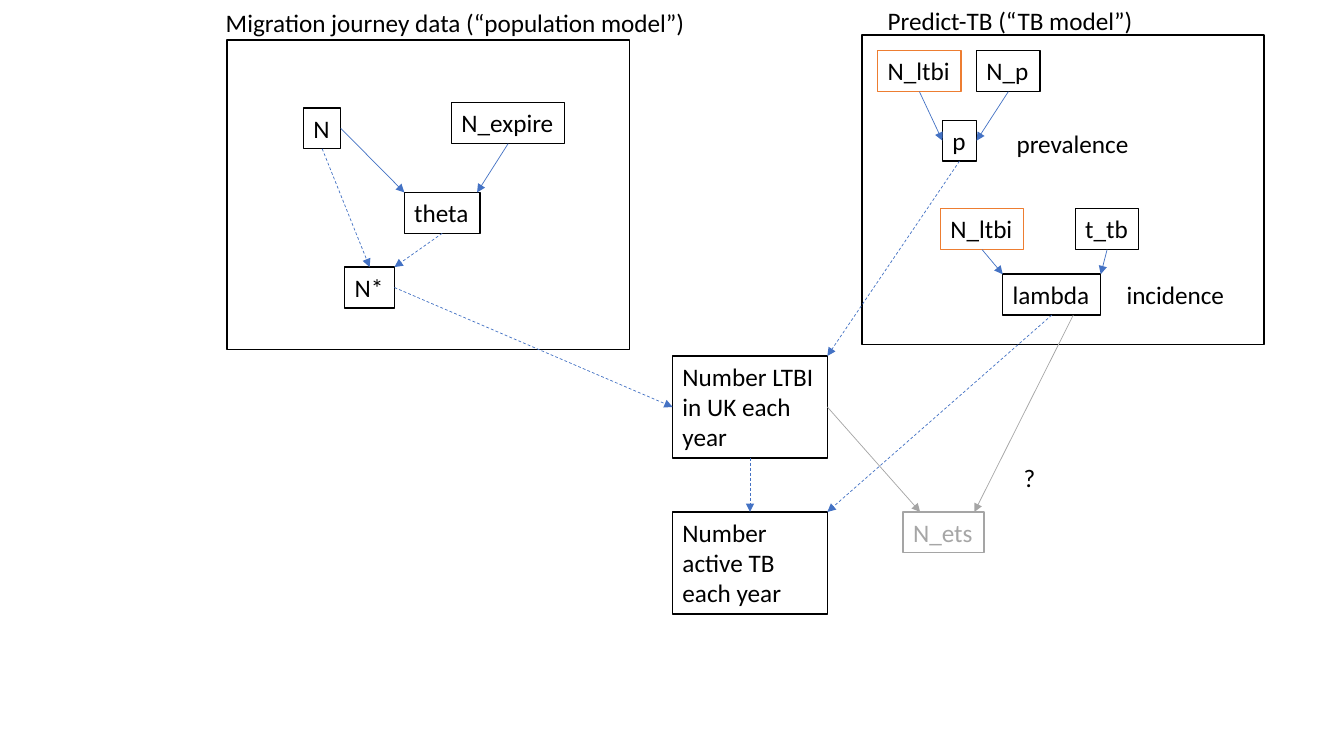
import pptx
import pptx.util
import pptx.dml.color
import pptx.enum.dml
import pptx.enum.shapes
import pptx.enum.text
import lxml.etree
from dataclasses import dataclass

Cm = pptx.util.Cm
Pt = pptx.util.Pt
Color = pptx.dml.color.RGBColor.from_string


@dataclass(frozen=True)
class Theme:
    """Colours, font and sizes of the diagram."""
    font: str = "Calibri"
    text_size: int = 18
    box_line: float = 1
    arrow_line: float = 0.5
    black: str = "000000"
    white: str = "FFFFFF"
    blue: str = "4472C4"
    orange: str = "ED7D31"
    grey: str = "A5A5A5"
    grey_text: str = "A6A6A6"


theme = Theme()
LINE_HEIGHT = 1.03
RESULT_WIDTH, RESULT_HEIGHT = 3.9, 2.57
PANEL_WIDTH, PANEL_HEIGHT = 10.14, 7.8

presentation = pptx.Presentation()
presentation.slide_width = Cm(33.87)
presentation.slide_height = Cm(19.05)
slide = presentation.slides.add_slide(presentation.slide_layouts[6])


def add_box(left, top, width, height, line_color):
    """Add a white rectangle with a coloured outline."""
    shape = slide.shapes.add_shape(
        pptx.enum.shapes.MSO_SHAPE.RECTANGLE, Cm(left), Cm(top), Cm(width), Cm(height))
    shape.shadow.inherit = False
    shape.fill.solid()
    shape.fill.fore_color.rgb = Color(theme.white)
    shape.line.color.rgb = Color(line_color)
    shape.line.width = Pt(theme.box_line)
    return shape


def write_text(shape, text, color, wrap=False):
    """Put left-aligned text in a shape that fits its text."""
    frame = shape.text_frame
    frame.text = text
    frame.word_wrap = wrap
    frame.auto_size = pptx.enum.text.MSO_AUTO_SIZE.SHAPE_TO_FIT_TEXT
    frame.vertical_anchor = pptx.enum.text.MSO_ANCHOR.TOP
    paragraph = frame.paragraphs[0]
    paragraph.alignment = pptx.enum.text.PP_ALIGN.LEFT
    font = paragraph.runs[0].font
    font.name = theme.font
    font.size = Pt(theme.text_size)
    font.color.rgb = Color(color)


# Panels of the two models
for left, top in [(21.72, 0.88), (5.72, 1.01)]:
    add_box(left, top, PANEL_WIDTH, PANEL_HEIGHT, theme.black)

# Variables: key, text, left, top, width, outline, text colour
variables = [
    ("N", "N", 7.65, 2.72, 0.94, theme.black, theme.black),
    ("N*", "N*", 8.69, 6.73, 1.25, theme.black, theme.black),
    ("theta", "theta", 10.19, 4.85, 1.91, theme.black, theme.black),
    ("N_expire", "N_expire", 11.38, 2.59, 2.85, theme.black, theme.black),
    ("p", "p", 23.75, 3.03, 0.86, theme.black, theme.black),
    ("prevalence ltbi", "N_ltbi", 22.12, 1.28, 2.1, theme.orange, theme.black),
    ("N_p", "N_p", 24.61, 1.28, 1.6, theme.black, theme.black),
    ("lambda", "lambda", 25.27, 6.91, 2.47, theme.black, theme.black),
    ("incidence ltbi", "N_ltbi", 23.7, 5.26, 2.1, theme.orange, theme.black),
    ("t_tb", "t_tb", 27.1, 5.26, 1.6, theme.black, theme.black),
    ("N_ets", "N_ets", 22.76, 12.9, 2.04, theme.grey, theme.grey_text),
]
boxes = {}
for key, text, left, top, width, outline, text_color in variables:
    boxes[key] = add_box(left, top, width, LINE_HEIGHT, outline)
    write_text(boxes[key], text, text_color)

# Results that both models feed
results = [
    ("LTBI", "Number LTBI in UK each year", 8.97),
    ("active TB", "Number active TB each year", 12.9),
]
for key, text, top in results:
    boxes[key] = add_box(16.95, top, RESULT_WIDTH, RESULT_HEIGHT, theme.black)
    write_text(boxes[key], text, theme.black, wrap=True)

# Labels: text, left, top, width
labels = [
    ("Migration journey data (“population model”)", 5.44, 0.05, 12.22),
    ("Predict-TB (“TB model”)", 22.12, 0, 6.76),
    ("prevalence", 25.37, 3.1, 3.38),
    ("incidence", 28.14, 6.91, 3),
    ("?", 25.55, 11.53, 0.81),
]
for text, left, top, width in labels:
    label = slide.shapes.add_textbox(Cm(left), Cm(top), Cm(width), Cm(LINE_HEIGHT))
    write_text(label, text, theme.black)

# Arrows: ends are fractions of the box width and height
TOP, LEFT, BOTTOM, RIGHT = (0.5, 0), (0, 0.5), (0.5, 1), (1, 0.5)
TOP_LEFT, TOP_RIGHT = (0, 0), (1, 0)
SITES = [TOP, LEFT, BOTTOM, RIGHT]
arrows = [
    ("N", RIGHT, "theta", TOP_LEFT, theme.blue, False),
    ("N_expire", BOTTOM, "theta", (0.96, 0), theme.blue, False),
    ("N", BOTTOM, "N*", TOP, theme.blue, True),
    ("theta", BOTTOM, "N*", TOP_RIGHT, theme.blue, True),
    ("prevalence ltbi", BOTTOM, "p", LEFT, theme.blue, False),
    ("N_p", BOTTOM, "p", RIGHT, theme.blue, False),
    ("incidence ltbi", BOTTOM, "lambda", TOP_LEFT, theme.blue, False),
    ("t_tb", BOTTOM, "lambda", TOP_RIGHT, theme.blue, False),
    ("N*", RIGHT, "LTBI", LEFT, theme.blue, True),
    ("p", BOTTOM, "LTBI", TOP_RIGHT, theme.blue, True),
    ("LTBI", BOTTOM, "active TB", TOP, theme.blue, True),
    ("lambda", BOTTOM, "active TB", TOP_RIGHT, theme.blue, True),
    ("lambda", (0.72, 1), "N_ets", (0.88, 0), theme.grey, False),
    ("LTBI", RIGHT, "N_ets", (0.21, 0), theme.grey, False),
]
for source, source_spot, target, target_spot, color, dashed in arrows:
    ends = []
    for key, (across, down) in [(source, source_spot), (target, target_spot)]:
        box = boxes[key]
        ends += [int(box.left + across * box.width), int(box.top + down * box.height)]
    arrow = slide.shapes.add_connector(pptx.enum.shapes.MSO_CONNECTOR.STRAIGHT, *ends)
    if source_spot in SITES:
        arrow.begin_connect(boxes[source], SITES.index(source_spot))
    if target_spot in SITES:
        arrow.end_connect(boxes[target], SITES.index(target_spot))
    arrow.line.color.rgb = Color(color)
    arrow.line.width = Pt(theme.arrow_line)
    if dashed:
        arrow.line.dash_style = pptx.enum.dml.MSO_LINE.DASH
    properties = arrow.line._get_or_add_ln()
    namespace = "{http://schemas.openxmlformats.org/drawingml/2006/main}"
    lxml.etree.SubElement(properties, namespace + "tailEnd", type="triangle")
    lxml.etree.SubElement(properties.getparent(), namespace + "effectLst")

presentation.save("out.pptx")
